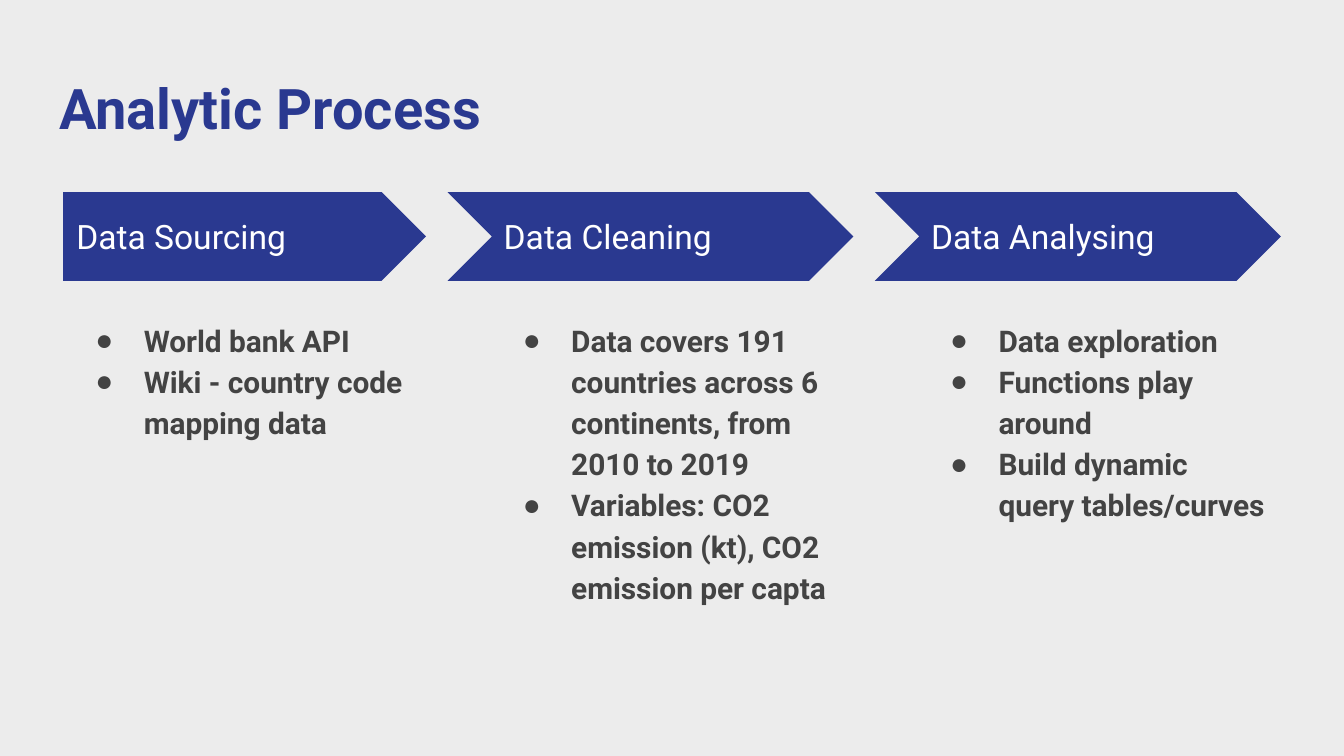
from lxml.etree import SubElement
from pptx import Presentation
from pptx.dml.color import RGBColor
from pptx.enum.shapes import MSO_SHAPE
from pptx.enum.text import MSO_ANCHOR, MSO_AUTO_SIZE, PP_ALIGN
from pptx.oxml.ns import qn
from pptx.util import Inches, Pt

BLUE = RGBColor(0x2A, 0x39, 0x90)
GRAY = RGBColor(0x43, 0x43, 0x43)
WHITE = RGBColor(0xFF, 0xFF, 0xFF)
BACKGROUND = RGBColor(0xEC, 0xEC, 0xEC)
FONT, BULLET_FONT = "Roboto", "Arial"

LEFT, PITCH, COL_W = 0.47, 3.18, 2.7
ARROW_TOP, ARROW_H, NOTCH = 1.43, 0.66, 0.32
STEPS = [
    ("Data Sourcing", ["World bank API", "Wiki - country code mapping data"]),
    ("Data Cleaning", [
        "Data covers 191 countries across 6 continents, from 2010 to 2019",
        "Variables: CO2 emission (kt), CO2 emission per capta"]),
    ("Data Analysing", ["Data exploration", "Functions play around",
                        "Build dynamic query tables/curves"]),
]


def place(sp, x, y, w, h):
    sp.left, sp.top, sp.width, sp.height = map(Inches, (x, y, w, h))


def write(sp, lines, size, color, bold=False, anchor=MSO_ANCHOR.TOP):
    """Fill a shape with evenly formatted left-aligned paragraphs."""
    tf = sp.text_frame
    tf.word_wrap = True
    tf.auto_size = MSO_AUTO_SIZE.NONE
    tf.vertical_anchor = anchor
    tf.margin_left = tf.margin_right = Inches(0.1)
    tf.margin_top = tf.margin_bottom = Inches(0.1)
    tf.text = "\n".join(lines)
    for p in tf.paragraphs:
        p.alignment = PP_ALIGN.LEFT
        p.space_before = Pt(0)
        for r in p.runs:
            r.font.name, r.font.size, r.font.bold = FONT, Pt(size), bold
            r.font.color.rgb = color


def add_bullet(p):
    p.line_spacing = 1.15
    pPr = p._p.get_or_add_pPr()
    pPr.set("marL", str(Inches(0.5)))
    pPr.set("indent", str(Inches(-0.36)))
    clr = SubElement(pPr, qn("a:buClr"))
    SubElement(clr, qn("a:srgbClr"), val=str(GRAY))
    SubElement(pPr, qn("a:buFont"), typeface=BULLET_FONT)
    SubElement(pPr, qn("a:buChar"), char="●")


def add_title(s):
    place(s.shapes.title, 0.34, 0.45, 9.32, 0.66)
    write(s.shapes.title, ["Analytic Process"], 30, BLUE, bold=True)


def add_step(s, body, x, label, items, first):
    # Arrow: later steps extend left by the notch
    kind = MSO_SHAPE.PENTAGON if first else MSO_SHAPE.CHEVRON
    notch = 0 if first else NOTCH
    arrow = s.shapes.add_shape(kind, Inches(x - notch), Inches(ARROW_TOP),
                               Inches(COL_W + notch), Inches(ARROW_H))
    arrow.adjustments[0] = 0.5
    arrow.shadow.inherit = False
    arrow.fill.solid()
    arrow.fill.fore_color.rgb = BLUE
    arrow.line.fill.background()

    # Label on the arrow
    box = s.shapes.add_textbox(Inches(x), Inches(ARROW_TOP + 0.16),
                               Inches(2.47), Inches(0.34))
    write(box, [label], 18, WHITE, anchor=MSO_ANCHOR.MIDDLE)

    # Bulleted list below
    place(body, x, ARROW_TOP + 0.83, COL_W, 2.9)
    write(body, items, 16, GRAY, bold=True)
    for p in body.text_frame.paragraphs:
        add_bullet(p)


def main():
    prs = Presentation()
    prs.slide_width = Inches(10)
    prs.slide_height = prs.slide_width * 9 // 16
    s = prs.slides.add_slide(prs.slide_layouts.get_by_name("Comparison"))
    s.background.fill.solid()
    s.background.fill.fore_color.rgb = BACKGROUND

    add_title(s)
    bodies = [ph for ph in s.placeholders if ph.placeholder_format.idx in range(1, 5)]
    for i, (label, items) in enumerate(STEPS):
        add_step(s, bodies[i], LEFT + i * PITCH, label, items, first=i == 0)

    # Unused placeholders
    for ph in bodies[len(STEPS):]:
        ph.element.getparent().remove(ph.element)
    prs.save("out.pptx")


if __name__ == "__main__":
    main()
